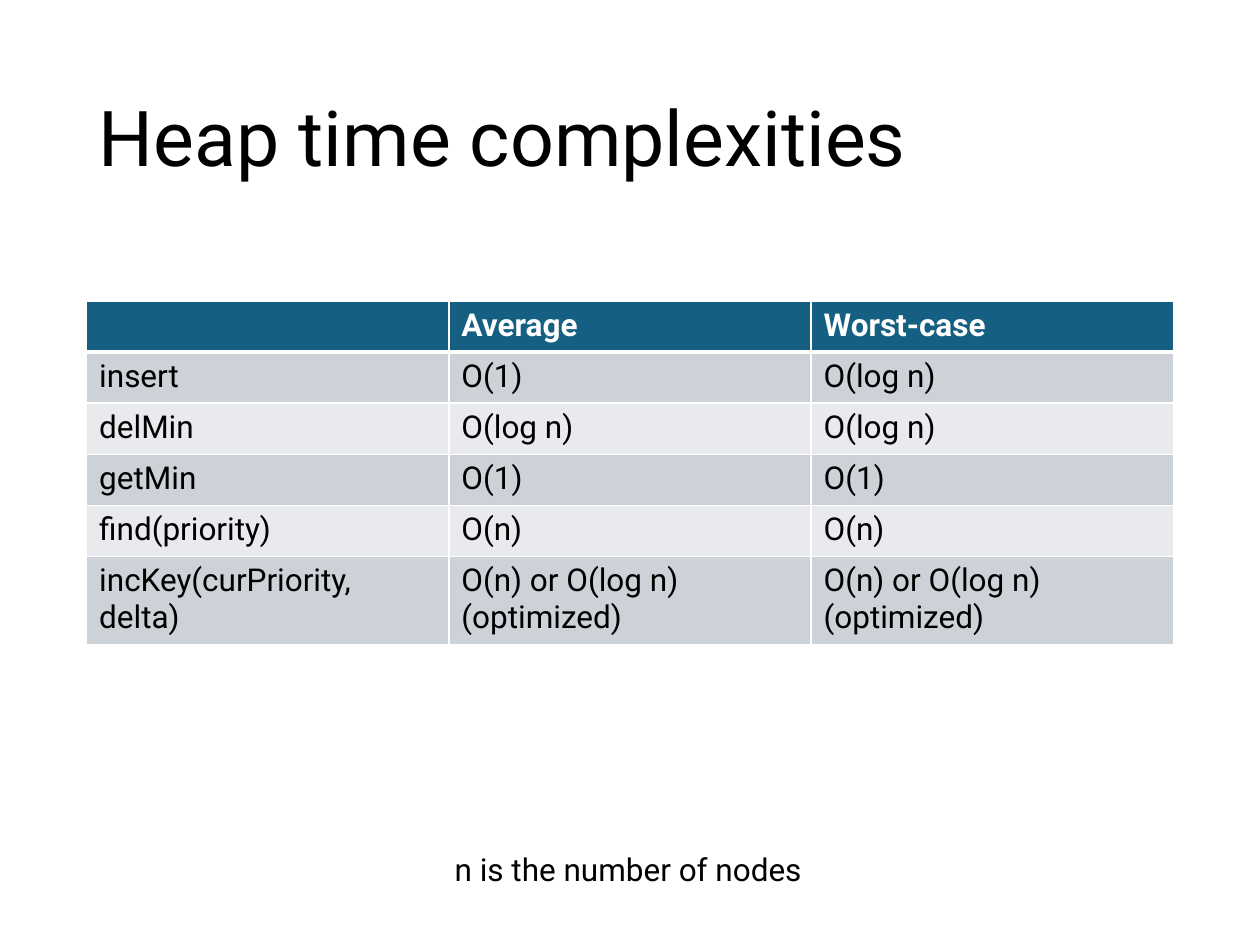
import dataclasses
import typing

import lxml.etree
import pptx
import pptx.dml.color
import pptx.enum.text
import pptx.oxml.ns
import pptx.util


@dataclasses.dataclass(frozen=True)
class Theme:
    font: str = "Roboto"
    ink: str = "000000"
    paper: str = "FFFFFF"
    header: str = "156082"
    bands: tuple[str, str] = ("CCD2D8", "E8EAED")
    title_size: float = 44
    body_size: float = 18
    rule: float = 1
    header_rule: float = 3


@dataclasses.dataclass(frozen=True)
class Box:
    left: float
    top: float
    width: float
    height: float

    def lengths(self) -> list[pptx.util.Length]:
        return [pptx.util.Pt(value) for value in dataclasses.astuple(self)]


@dataclasses.dataclass(frozen=True)
class Label:
    text: str
    box: Box
    size: float
    anchor: pptx.enum.text.MSO_ANCHOR
    wrap: bool
    line_spacing: float


class Complexity(typing.NamedTuple):
    operation: str
    average: str
    worst: str


THEME = Theme()
TABLE_BOX = Box(49.5, 172, 621, 175.2)
OPTIMIZED = "O(n) or O(log n) (optimized)"
COMPLEXITIES = [
    Complexity("", "Average", "Worst-case"),
    Complexity("insert", "O(1)", "O(log n)"),
    Complexity("delMin", "O(log n)", "O(log n)"),
    Complexity("getMin", "O(1)", "O(1)"),
    Complexity("find(priority)", "O(n)", "O(n)"),
    Complexity("incKey(curPriority, delta)", OPTIMIZED, OPTIMIZED),
]
LABELS = [
    Label("Heap time complexities", Box(49.5, 28.75, 621, 104.4),
          THEME.title_size, pptx.enum.text.MSO_ANCHOR.MIDDLE, True, 0.9),
    Label("n is the number of nodes", Box(252.7, 482.4, 214.6, 29.1),
          THEME.body_size, pptx.enum.text.MSO_ANCHOR.TOP, False, 1.0),
]


def rgb(color: str) -> pptx.dml.color.RGBColor:
    return pptx.dml.color.RGBColor.from_string(color)


def add_run(paragraph, text: str, size: float, color: str, bold: bool = False) -> None:
    run = paragraph.add_run()
    run.text = text
    run.font.name = THEME.font
    run.font.size = pptx.util.Pt(size)
    run.font.bold = bold
    run.font.color.rgb = rgb(color)


def add_label(slide, label: Label) -> None:
    frame = slide.shapes.add_textbox(*label.box.lengths()).text_frame
    frame.word_wrap = label.wrap
    frame.vertical_anchor = label.anchor
    if not label.wrap:
        frame.auto_size = pptx.enum.text.MSO_AUTO_SIZE.SHAPE_TO_FIT_TEXT
    paragraph = frame.paragraphs[0]
    paragraph.line_spacing = label.line_spacing
    add_run(paragraph, label.text, label.size, THEME.ink)


def add_border(cell, side: str, width: float) -> None:
    qn = pptx.oxml.ns.qn
    line = lxml.etree.SubElement(
        cell._tc.get_or_add_tcPr(), qn(f"a:ln{side}"), w=str(int(pptx.util.Pt(width))))
    fill = lxml.etree.SubElement(line, qn("a:solidFill"))
    lxml.etree.SubElement(fill, qn("a:srgbClr"), val=THEME.paper)


def style_cell(cell, row: int) -> None:
    for side in "LRTB":
        meets_header = (row, side) in ((0, "B"), (1, "T"))
        add_border(cell, side, THEME.header_rule if meets_header else THEME.rule)
    cell.fill.solid()
    cell.fill.fore_color.rgb = rgb(THEME.bands[(row - 1) % 2] if row else THEME.header)


def add_complexity_table(slide, complexities: list[Complexity]) -> None:
    columns = len(Complexity._fields)
    table = slide.shapes.add_table(
        len(complexities), columns, *TABLE_BOX.lengths()).table
    for column in table.columns:
        column.width = pptx.util.Pt(TABLE_BOX.width / columns)
    for row, complexity in enumerate(complexities):
        table.rows[row].height = pptx.util.Pt(TABLE_BOX.height / len(complexities))
        for column, text in enumerate(complexity):
            cell = table.cell(row, column)
            style_cell(cell, row)
            if text:
                color = THEME.ink if row else THEME.paper
                add_run(cell.text_frame.paragraphs[0], text, THEME.body_size,
                        color, bold=row == 0)


def main() -> None:
    deck = pptx.Presentation()
    deck.slide_width = pptx.util.Pt(720)
    deck.slide_height = pptx.util.Pt(540)
    slide = deck.slides.add_slide(deck.slide_layouts[6])
    slide.background.fill.solid()
    slide.background.fill.fore_color.rgb = rgb(THEME.paper)
    title, footnote = LABELS
    add_label(slide, title)
    add_complexity_table(slide, COMPLEXITIES)
    add_label(slide, footnote)
    deck.save("out.pptx")


if __name__ == "__main__":
    main()
